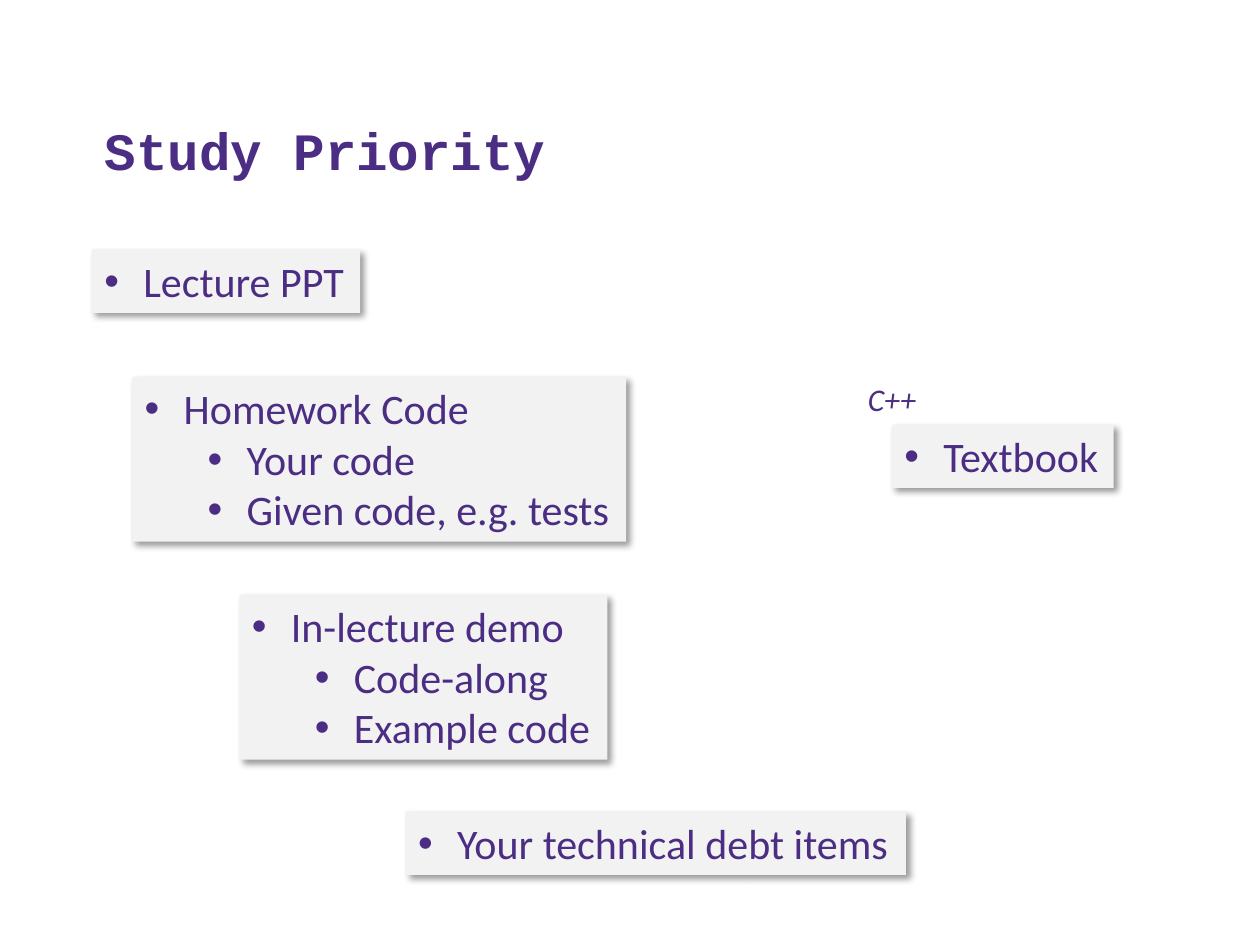
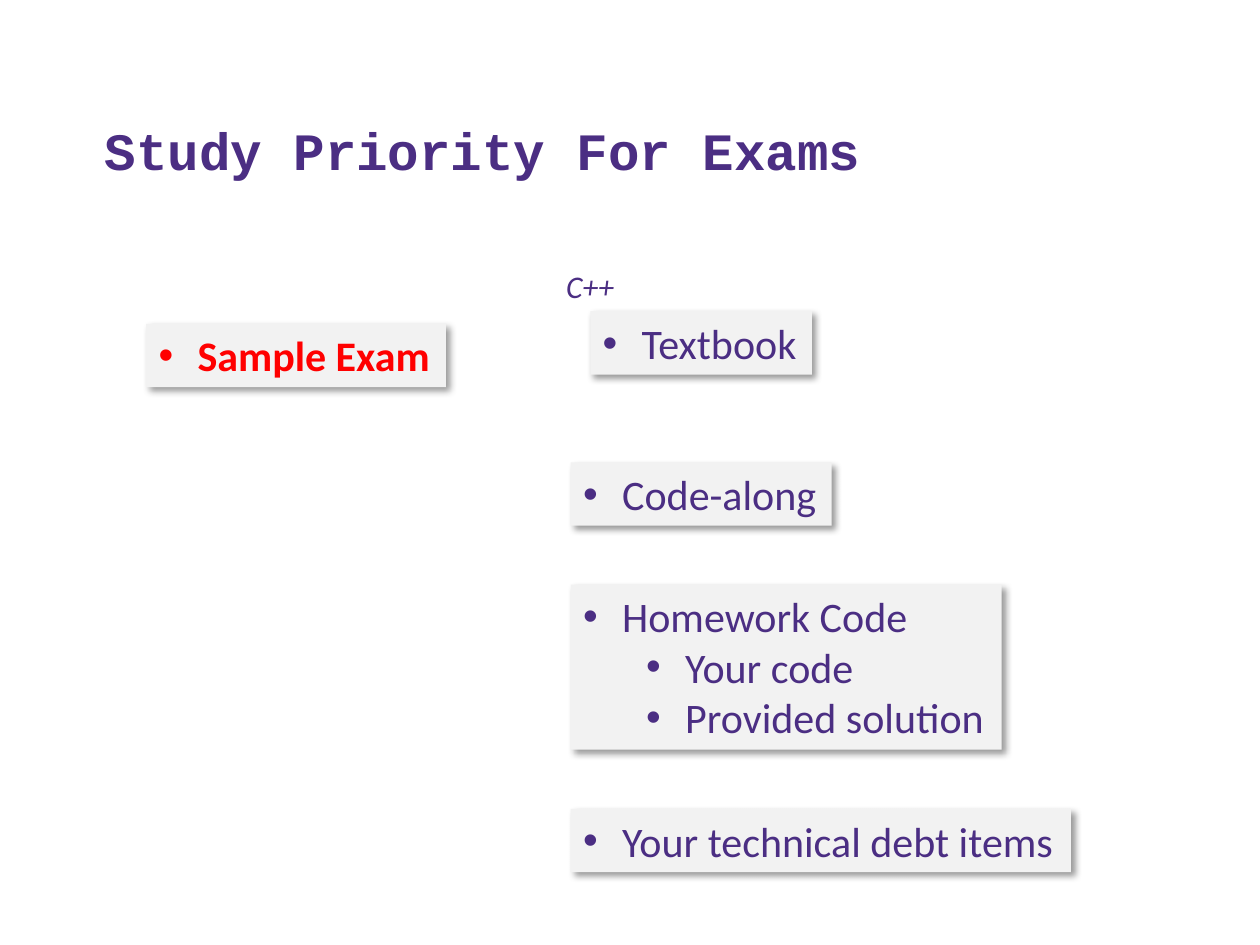
from lxml import etree
from pptx import Presentation
from pptx.dml.color import RGBColor
from pptx.enum.shapes import MSO_SHAPE
from pptx.enum.text import MSO_ANCHOR, MSO_AUTO_SIZE, PP_ALIGN
from pptx.oxml import parse_xml
from pptx.oxml.ns import nsdecls, qn
from pptx.util import Inches, Pt

RECT = MSO_SHAPE.RECTANGLE
LEFT, TOP, LOW = PP_ALIGN.LEFT, MSO_ANCHOR.TOP, MSO_ANCHOR.BOTTOM
GROW, FIXED = MSO_AUTO_SIZE.SHAPE_TO_FIT_TEXT, MSO_AUTO_SIZE.NONE

# Slide grid: 100 columns by 75 rows
WIDE, HIGH = Inches(10), Inches(7.5)
COL, ROW = WIDE / 100, HIGH / 75
PAD, LINE = 1, 4.03  # rows of margin and rows per line in a card

PURPLE, RED, GREY = "4B2E83", "FF0000", "F2F2F2"
TITLE = {"name": "Courier New", "size": Pt(30), "bold": True}
BODY = {"name": "Calibri", "size": Pt(24), "bold": False}
ALERT = {**BODY, "bold": True}
NOTE = {"name": "Calibri", "size": Pt(18), "italic": True}

SHADOW = f"""<a:effectLst {nsdecls('a')}>
<a:outerShdw blurRad="{Pt(4)}" dist="{Pt(3)}" dir="2700000" algn="tl" rotWithShape="0">
<a:srgbClr val="000000"><a:alpha val="40000"/></a:srgbClr>
</a:outerShdw></a:effectLst>"""


def color(code):
    return RGBColor.from_string(code)


def grid(x, y, w, h):
    """Turn columns and rows into lengths."""
    return round(x * COL), round(y * ROW), round(w * COL), round(h * ROW)


def style(font, form, code=PURPLE):
    for key, val in form.items():
        setattr(font, key, val)
    font.color.rgb = color(code)


def setup(frame, form):
    for key, val in form.items():
        setattr(frame, key, val)


def bullet(para, level):
    """Hang the text of a paragraph behind a round bullet."""
    para.level = level
    props = para._p.get_or_add_pPr()
    props.set("marL", str(Inches(0.31 + 0.5 * level)))
    props.set("indent", str(-Inches(0.31)))
    etree.SubElement(props, qn("a:buFont")).set("typeface", "Arial")
    etree.SubElement(props, qn("a:buChar")).set("char", "•")


def card(shapes, x, y, w, lines, form=BODY, code=PURPLE):
    """Grey card: the first line is the topic, the rest are its parts."""
    box = shapes.add_shape(RECT, *grid(x, y, w, PAD + LINE * len(lines)))
    box.fill.solid()
    box.fill.fore_color.rgb = color(GREY)
    box.line.fill.background()
    box.shadow.inherit = False
    props = box._element.spPr
    props.replace(props.find(qn("a:effectLst")), parse_xml(SHADOW))
    frame = box.text_frame
    setup(frame, {"word_wrap": False, "auto_size": GROW, "vertical_anchor": TOP})
    for num, text in enumerate(lines):
        para = frame.add_paragraph() if num else frame.paragraphs[0]
        para.alignment = LEFT
        bullet(para, min(num, 1))
        run = para.add_run()
        run.text = text
        style(run.font, form, code)


def book(shapes, x, y):
    """Textbook card with its language above the left corner."""
    group = shapes.add_group_shape().shapes
    card(group, x + 2.9, y + 4, 17.6, ["Textbook"])
    label = group.add_textbox(*grid(x, y, 5.9, 4))
    setup(label.text_frame, {"word_wrap": False, "auto_size": GROW})
    run = label.text_frame.paragraphs[0].add_run()
    run.text = "C++"
    style(run.font, NOTE)


def page(deck, text):
    """Add a slide with its title and return its shapes."""
    shapes = deck.slides.add_slide(deck.slide_layouts[5]).shapes
    head = shapes.title
    head.left, head.top, head.width, head.height = grid(7.3, 4.1, 89.5, 10.8)
    setup(head.text_frame, {"word_wrap": True, "auto_size": FIXED,
                            "vertical_anchor": LOW})
    para = head.text_frame.paragraphs[0]
    para.alignment = LEFT
    run = para.add_run()
    run.text = text
    style(run.font, TITLE)
    return shapes


def study(deck):
    """Cards stepping down from first to last priority."""
    shapes = page(deck, "Study Priority")
    steps = [
        (7.3, 19.8, 21.3, ["Lecture PPT"]),
        (10.5, 29.9, 39.2, ["Homework Code", "Your code", "Given code, e.g. tests"]),
        (19, 47.2, 29.2, ["In-lecture demo", "Code-along", "Example code"]),
        (32.2, 64.4, 39.7, ["Your technical debt items"]),
    ]
    for step in steps:
        card(shapes, *step)
    book(shapes, 67.9, 29.7)


def exams(deck):
    """Sample exam on the left, a column of sources on the right."""
    shapes = page(deck, "Study Priority For Exams")
    card(shapes, 11.6, 25.7, 23.8, ["Sample Exam"], ALERT, RED)
    book(shapes, 43.95, 20.7)
    stack = [
        (36.7, 20.7, ["Code-along"]),
        (46.4, 34.2, ["Homework Code", "Your code", "Provided solution"]),
        (64.2, 39.7, ["Your technical debt items"]),
    ]
    for y, w, lines in stack:
        card(shapes, 45.3, y, w, lines)


def main():
    deck = Presentation()
    deck.slide_width, deck.slide_height = WIDE, HIGH
    study(deck)
    exams(deck)
    deck.save("out.pptx")


if __name__ == "__main__":
    main()
